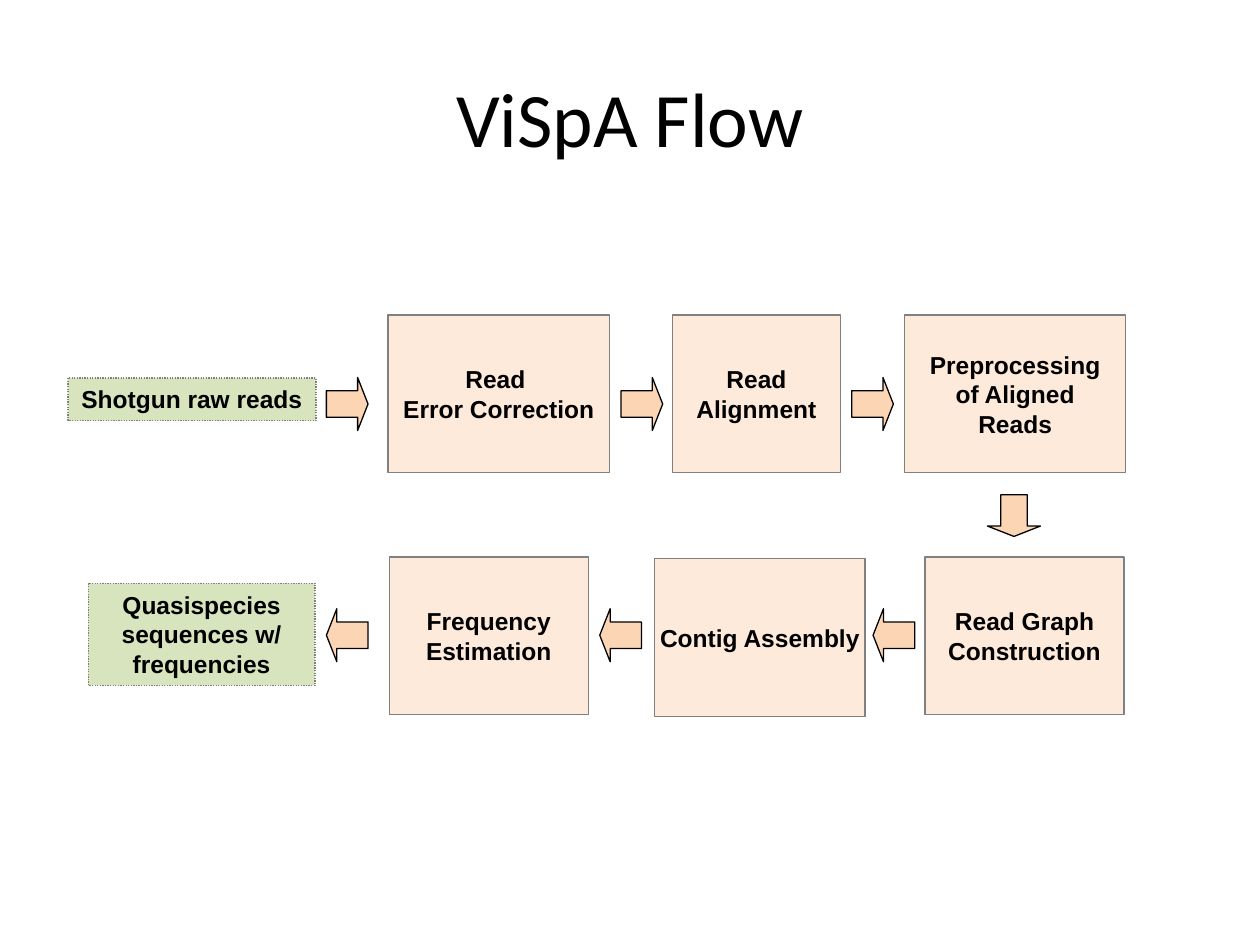
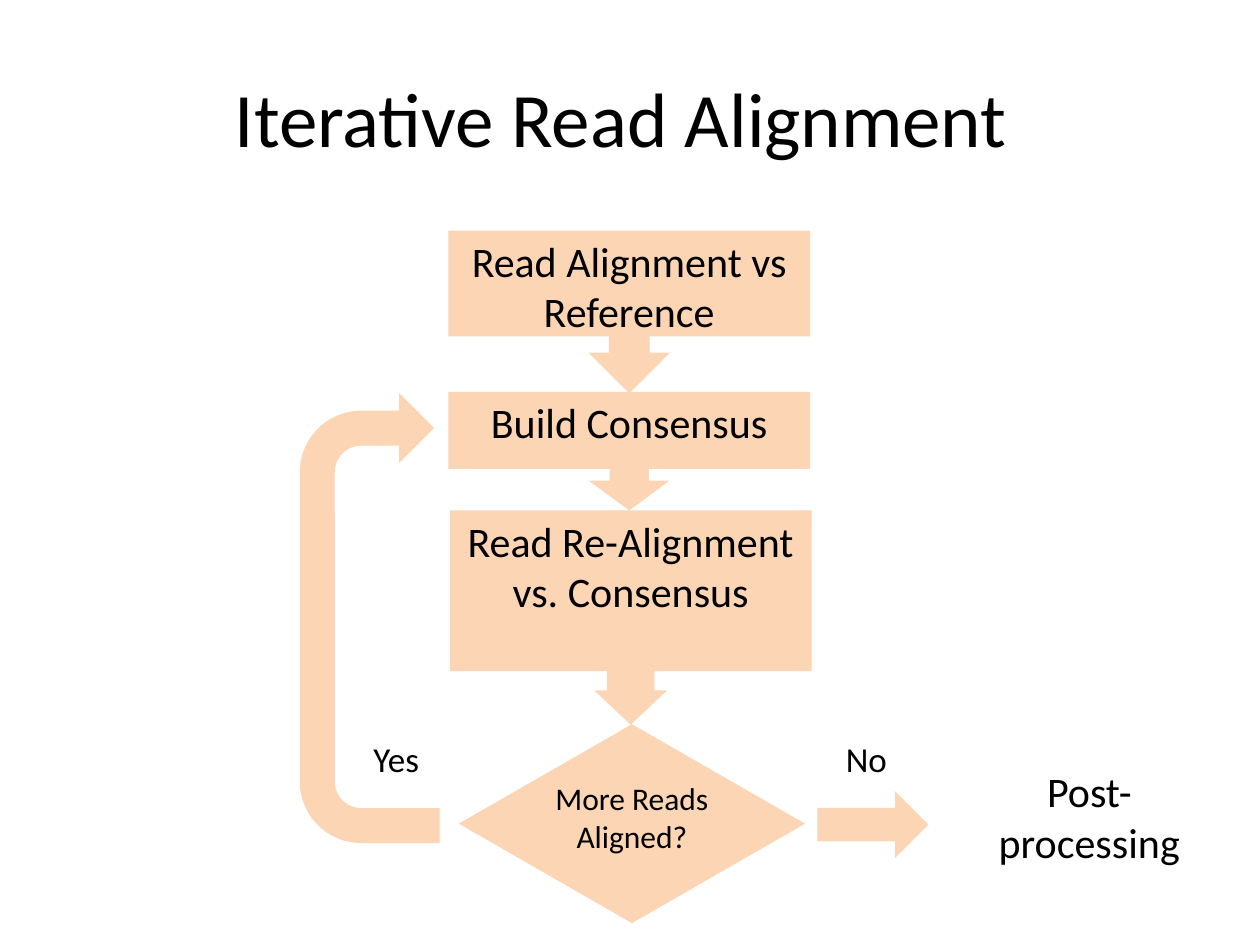
from pptx import Presentation
from pptx.dml.color import RGBColor
from pptx.enum.dml import MSO_LINE
from pptx.enum.shapes import MSO_SHAPE
from pptx.enum.text import MSO_ANCHOR, MSO_AUTO_SIZE, PP_ALIGN
from pptx.util import Cm, Pt

COLORS = {
    "text": "000000",
    "stage": "FDEADA",
    "data": "D7E4BD",
    "arrow": "FCD5B5",
    "border": "808080",
    "outline": "000000",
}
WIDE_INSETS = (0.25, 0.13)
NARROW_INSETS = (0.18, 0.1)
STAGE_HEIGHT = 3.18


def color(name):
    return RGBColor.from_string(COLORS[name])


def write(shape, lines, size, font="Calibri", bold=False, insets=NARROW_INSETS,
          anchor=MSO_ANCHOR.TOP, wrap=True, grow=False):
    frame = shape.text_frame
    frame.word_wrap = wrap
    frame.auto_size = MSO_AUTO_SIZE.SHAPE_TO_FIT_TEXT if grow else MSO_AUTO_SIZE.NONE
    frame.vertical_anchor = anchor
    frame.margin_left = frame.margin_right = Cm(insets[0])
    frame.margin_top = frame.margin_bottom = Cm(insets[1])
    for index, line in enumerate(lines):
        paragraph = frame.add_paragraph() if index else frame.paragraphs[0]
        paragraph.alignment = PP_ALIGN.CENTER
        run = paragraph.add_run()
        run.text = line
        run.font.name = font
        run.font.size = Pt(size)
        run.font.bold = bold
        run.font.color.rgb = color("text")


def add_titled_slide(presentation, title):
    slide = presentation.slides.add_slide(presentation.slide_layouts[5])
    shape = slide.shapes.title
    shape.left, shape.top, shape.width, shape.height = map(Cm, (1.27, 0.76, 22.86, 3.18))
    write(shape, [title], 44, insets=WIDE_INSETS, anchor=MSO_ANCHOR.MIDDLE)
    return slide


def add_figure(slide, kind, place, fill="arrow", border=None, adjustments=(), rotation=0):
    shape = slide.shapes.add_shape(kind, *map(Cm, place))
    shape.shadow.inherit = False
    shape.rotation = rotation
    shape.fill.solid()
    shape.fill.fore_color.rgb = color(fill)
    if border:
        shape.line.color.rgb = color(border)
        shape.line.width = Pt(0.75)
    else:
        shape.line.fill.background()
    for index, value in enumerate(adjustments):
        shape.adjustments[index] = value
    return shape


def add_stage(slide, left, top, width, lines, wrap=True):
    shape = add_figure(slide, MSO_SHAPE.RECTANGLE, (left, top, width, STAGE_HEIGHT),
                       "stage", "border")
    write(shape, lines, 14, "Arial", True, WIDE_INSETS, MSO_ANCHOR.MIDDLE, wrap)


def add_data(slide, place, text, wrap=True):
    shape = add_figure(slide, MSO_SHAPE.RECTANGLE, place, "data", "border")
    shape.line.dash_style = MSO_LINE.ROUND_DOT
    write(shape, [text], 14, "Arial", True, WIDE_INSETS, wrap=wrap, grow=True)


def add_flow_arrow(slide, left, top, rotation=0):
    add_figure(slide, MSO_SHAPE.RIGHT_ARROW, (left, top, 0.84, 1.07), border="outline",
               adjustments=(0.5, 0.25), rotation=rotation)


def add_step(slide, kind, place, text, size=24, adjustments=()):
    shape = add_figure(slide, kind, place, adjustments=adjustments)
    write(shape, [text], size)


def add_label(slide, place, lines, size=20):
    box = slide.shapes.add_textbox(*map(Cm, place))
    write(box, lines, size, wrap=False, grow=True)


def build_flow(presentation):
    slide = add_titled_slide(presentation, "ViSpA Flow")
    upper, lower = 6.35, 11.23
    add_stage(slide, 7.82, upper, 4.47, ["Read ", "Error Correction"], wrap=False)
    add_stage(slide, 13.56, upper, 3.38, ["Read Alignment"])
    add_stage(slide, 18.24, upper, 4.45, ["Preprocessing of Aligned Reads"])
    add_stage(slide, 18.65, lower, 4.01, ["Read Graph Construction"])
    add_stage(slide, 13.2, lower + 0.03, 4.24, ["Contig Assembly"], wrap=False)
    add_stage(slide, 7.85, lower, 4.01, ["Frequency Estimation"])
    add_data(slide, (1.37, 7.62, 5, 0.86), "Shotgun raw reads", wrap=False)
    add_data(slide, (1.78, 11.76, 4.57, 2.06), "Quasispecies sequences w/ frequencies")
    for left in (6.58, 12.52, 17.17):
        add_flow_arrow(slide, left, 7.61)
    add_flow_arrow(slide, 20.02, 9.86, rotation=90)
    for left in (17.6, 12.09, 6.58):
        add_flow_arrow(slide, left, 12.27, rotation=180)


def build_iteration(presentation):
    slide = add_titled_slide(presentation, "Iterative Read Alignment ")
    callout = MSO_SHAPE.DOWN_ARROW_CALLOUT
    add_step(slide, callout, (9.04, 4.65, 7.29, 3.28), "Read Alignment vs Reference")
    add_step(slide, callout, (9.04, 7.9, 7.29, 2.39), "Build Consensus",
             adjustments=(0.33, 0.34, 0.25, 0.65))
    add_step(slide, callout, (9.07, 10.29, 7.29, 4.32), "Read Re-Alignment vs. Consensus",
             adjustments=(0.22, 0.17, 0.16, 0.75))
    add_step(slide, MSO_SHAPE.FLOWCHART_DECISION, (9.25, 14.6, 6.98, 4.01),
             "More Reads Aligned?", size=18)
    add_figure(slide, MSO_SHAPE.U_TURN_ARROW, (2.92, 11.05, 9.07, 2.82),
               adjustments=(0.25, 0.25, 0.25, 0.44, 0.96), rotation=270)
    add_figure(slide, MSO_SHAPE.RIGHT_ARROW, (16.48, 15.95, 2.24, 1.35))
    add_label(slide, (16.87, 14.76, 1.19, 1.04), ["No"])
    add_label(slide, (7.34, 14.76, 1.3, 1.04), ["Yes"])
    add_label(slide, (19.94, 15.34, 4.04, 2.24), ["Post-", "processing"], size=24)


def main():
    presentation = Presentation()
    presentation.slide_width = Cm(25.4)
    presentation.slide_height = Cm(19.05)
    build_flow(presentation)
    build_iteration(presentation)
    presentation.save("out.pptx")


if __name__ == "__main__":
    main()
